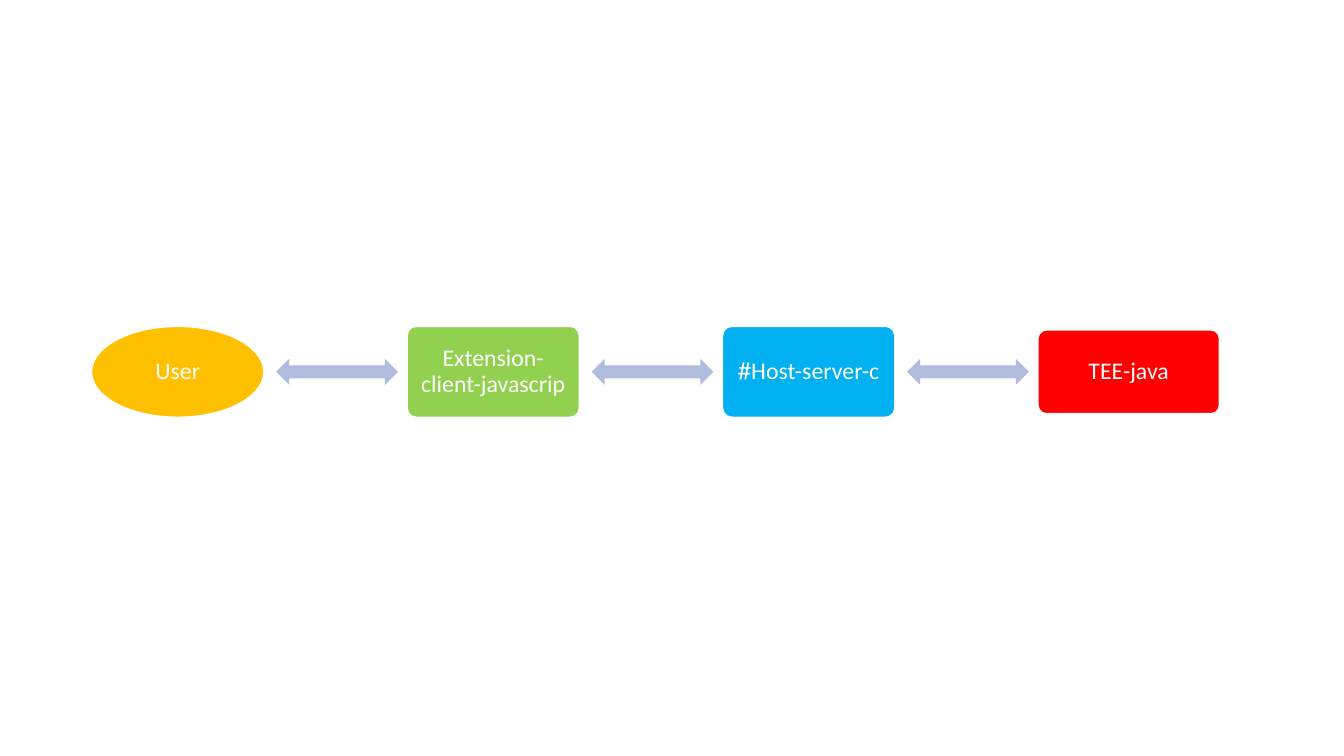
import pptx
import pptx.dml.color
import pptx.enum.shapes
import pptx.enum.text
import pptx.util

Cm = pptx.util.Cm
Pt = pptx.util.Pt
SHAPES = pptx.enum.shapes.MSO_SHAPE


def colour(value):
    return pptx.dml.color.RGBColor.from_string(value)


class FlowSlide:
    font_name = "Calibri"
    font_size = 17
    light = "FFFFFF"
    arrow_fill = "B0BCDE"
    inset = 0.17
    middle = 9.37

    def __init__(self, deck):
        self.page = deck.slides.add_slide(deck.slide_layouts[6])

    def shape(self, kind, left, width, height, fill):
        top = self.middle - height / 2
        box = self.page.shapes.add_shape(kind, Cm(left), Cm(top), Cm(width), Cm(height))
        box.shadow.inherit = False
        box.fill.solid()
        box.fill.fore_color.rgb = colour(fill)
        return box

    def stage(self, kind, left, width, height, fill, text):
        box = self.shape(kind, left, width, height, fill)
        box.line.color.rgb = colour(self.light)
        box.line.width = Pt(1)
        if kind == SHAPES.ROUNDED_RECTANGLE:
            box.adjustments[0] = 0.1
        frame = box.text_frame
        frame.word_wrap = True
        frame.vertical_anchor = pptx.enum.text.MSO_ANCHOR.MIDDLE
        frame.margin_left = frame.margin_right = Cm(self.inset)
        frame.margin_top = frame.margin_bottom = Cm(self.inset)
        frame.text = text
        para = frame.paragraphs[0]
        para.alignment = pptx.enum.text.PP_ALIGN.CENTER
        para.line_spacing = 0.9
        para._p.get_or_add_pPr().set("rtl", "1")
        span = para.runs[0]
        span.font.name = self.font_name
        span.font.size = Pt(self.font_size)
        span.font.color.rgb = colour(self.light)

    def arrow(self, left):
        box = self.shape(SHAPES.LEFT_RIGHT_ARROW, left, 3.07, 0.66, self.arrow_fill)
        box.line.fill.background()


def main():
    deck = pptx.Presentation()
    deck.slide_width = Cm(33.87)
    deck.slide_height = Cm(19.05)
    flow = FlowSlide(deck)

    stages = [
        (SHAPES.OVAL, 4.34, 2.29, "FFC000", "User"),
        (SHAPES.ROUNDED_RECTANGLE, 4.34, 2.29, "92D050", "Extension-client-javascrip"),
        (SHAPES.ROUNDED_RECTANGLE, 4.34, 2.29, "00B0F0", "Host-server-c#"),
        (SHAPES.ROUNDED_RECTANGLE, 4.57, 2.11, "FF0000", "TEE-java"),
    ]
    first_left, pitch, arrow_offset = 2.31, 7.95, 4.65
    for index, (kind, width, height, fill, text) in enumerate(stages):
        left = first_left + index * pitch
        flow.stage(kind, left, width, height, fill, text)
        if index < len(stages) - 1:
            flow.arrow(left + arrow_offset)

    deck.save("out.pptx")


if __name__ == "__main__":
    main()
